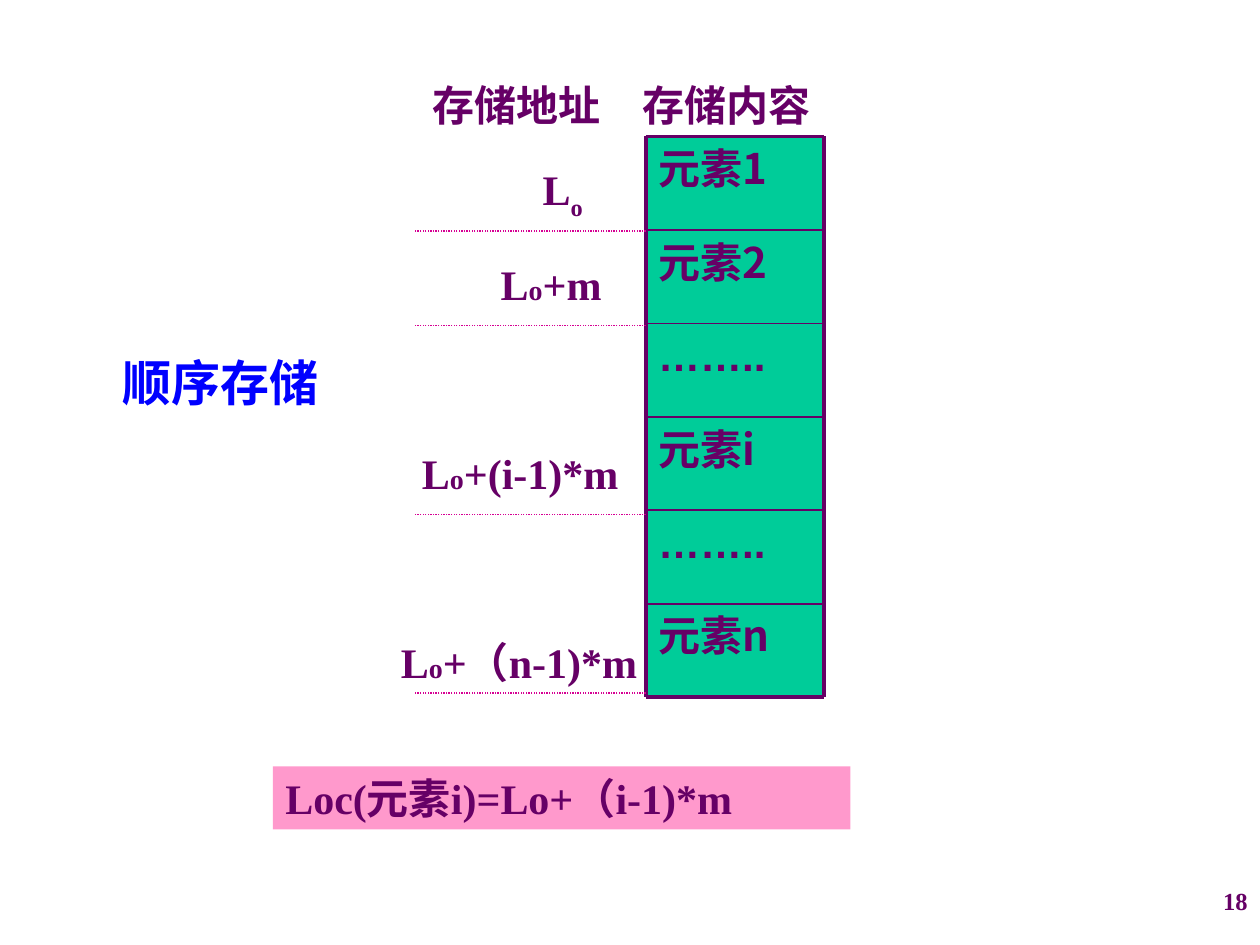
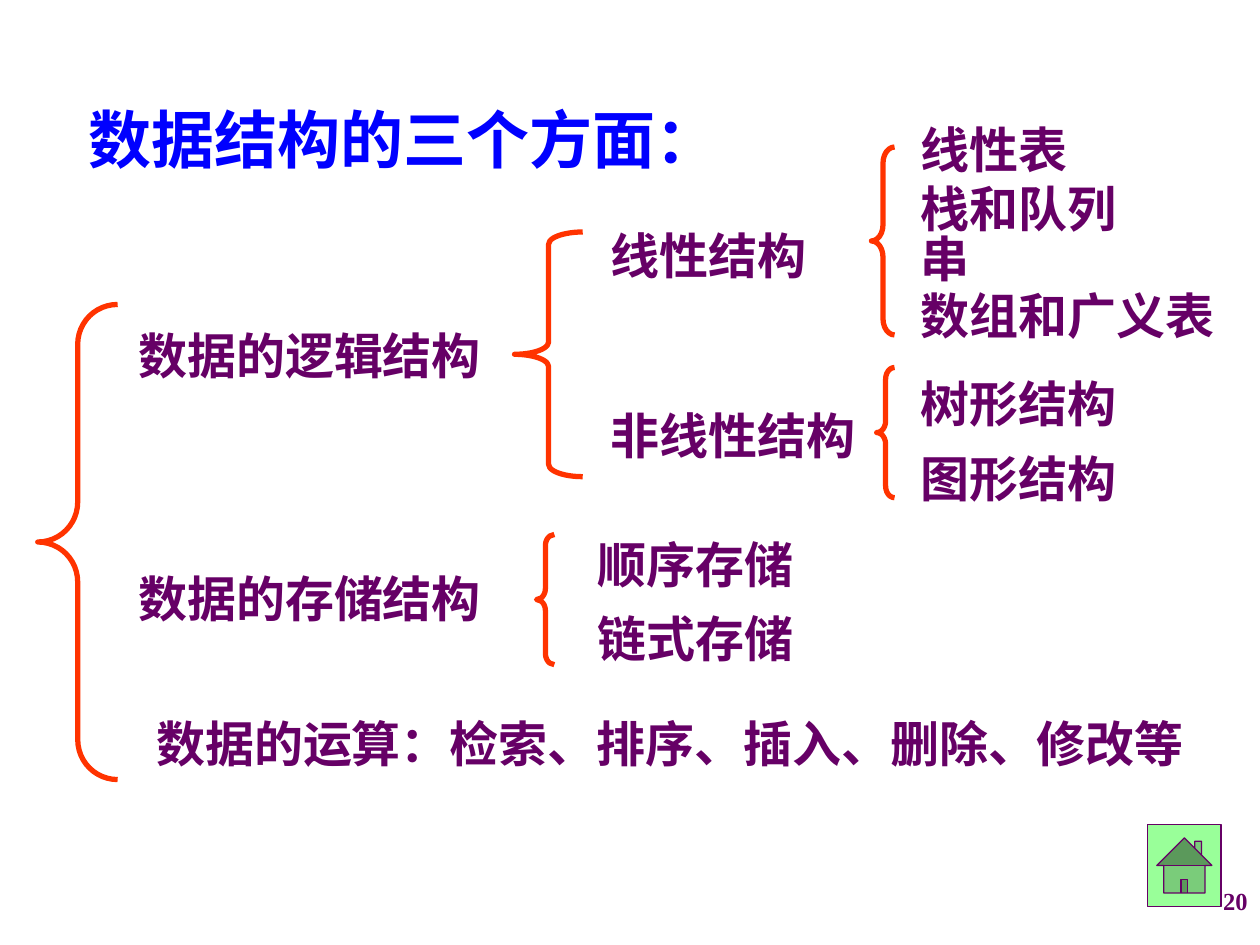
import pptx
import pptx.util
import pptx.dml.color
import pptx.enum.dml
import pptx.enum.shapes
import pptx.enum.text
import pptx.oxml
import pptx.oxml.ns

COLS, ROWS = 120, 90
WIDE, HIGH = pptx.util.Inches(10), pptx.util.Inches(7.5)
HUES = {
    "plum": "660066",
    "blue": "0000FF",
    "green": "00CC99",
    "pink": "FF99CC",
    "rose": "D60093",
    "red": "FF3300",
    "mint": "99FF99",
}
SERIF, HAN, SANS = "Times New Roman", "Noto Sans CJK SC", "Arial"
SHAPES = pptx.enum.shapes.MSO_SHAPE
ALIGN = pptx.enum.text.PP_ALIGN
DASH = pptx.enum.dml.MSO_LINE


def hue(name):
    return pptx.dml.color.RGBColor.from_string(HUES[name])


def col(count):
    return round(WIDE * count / COLS)


def row(count):
    return round(HIGH * count / ROWS)


def place(left, top, width, height):
    return col(left), row(top), col(width), row(height)


def style(run, size, color="plum", face=SERIF):
    font = run.font
    font.name, font.size, font.bold = face, pptx.util.Pt(size), True
    font.color.rgb = hue(color)
    east = pptx.oxml.parse_xml(f'<a:ea {pptx.oxml.ns.nsdecls("a")} typeface="{HAN if face == SERIF else face}"/>')
    run.font._element.find(pptx.oxml.ns.qn("a:latin")).addnext(east)


def write(shape, text, size=24, color="plum", face=SERIF, align=ALIGN.LEFT):
    frame = shape.text_frame
    frame.word_wrap = True
    frame.vertical_anchor = pptx.enum.text.MSO_ANCHOR.TOP
    line = frame.paragraphs[0]
    line.text = text
    line.alignment = align
    for run in line.runs:
        style(run, size, color, face)


def label(slide, text, left, top, width, height=6, **look):
    box = slide.shapes.add_textbox(*place(left, top, width, height))
    write(box, text, **look)
    return box


def phrase(slide, text, left, top, size=28, color="plum"):
    width = (len(text) * size / 72 + 0.3) * 12
    label(slide, text, left, top, width, size / 4, size=size, color=color)


def address(slide, tail, left, top, width, height=6):
    box = label(slide, "L", left, top, width, height)
    line = box.text_frame.paragraphs[0]
    small = line.add_run()
    small.text = "o"
    style(small, 16 if tail else 24)
    if tail:
        last = line.add_run()
        last.text = tail
        style(last, 24)
    else:
        small.font._element.set("baseline", "-25000")


def block(slide, kind, spot, fill):
    shape = slide.shapes.add_shape(kind, *place(*spot))
    shape.shadow.inherit = False
    shape.fill.solid()
    shape.fill.fore_color.rgb = hue(fill)
    shape.line.fill.background()
    return shape


def rule(slide, start, end, color="plum", weight=1, dash=None):
    line = slide.shapes.add_connector(
        pptx.enum.shapes.MSO_CONNECTOR.STRAIGHT,
        col(start[0]), row(start[1]), col(end[0]), row(end[1]))
    line.line.color.rgb = hue(color)
    line.line.width = pptx.util.Pt(weight)
    if dash:
        line.line.dash_style = dash
    line._element.spPr.append(pptx.oxml.parse_xml(f'<a:effectLst {pptx.oxml.ns.nsdecls("a")}/>'))


def brace(slide, left, top, width, height, bend):
    shape = slide.shapes.add_shape(SHAPES.LEFT_BRACE, *place(left, top, width, height))
    shape.shadow.inherit = False
    shape.fill.background()
    shape.line.color.rgb = hue("red")
    shape.line.width = pptx.util.Pt(3)
    shape.adjustments[0] = bend


def begin(deck, number):
    slide = deck.slides.add_slide(deck.slide_layouts[6])
    label(slide, number, 92, 83.75, 28, 6.25, size=14, align=ALIGN.RIGHT)
    return slide


def memory(deck):
    slide = begin(deck, "18")
    left, right, top, step = 61.5, 78.5, 13, 8.9
    cells = ["元素1", "元素2", "……..", "元素i", "……..", "元素n"]
    for index, text in enumerate(cells):
        cell = block(slide, SHAPES.RECTANGLE,
                     (left, top + index * step, right - left, step), "green")
        write(cell, text, face=HAN if text.startswith("元") else SANS)
    last = len(cells)
    for index in range(last + 1):
        level = top + index * step
        rule(slide, (left, level), (right, level),
             weight=2.25 if index in (0, last) else 1)
    for side in (left, right):
        rule(slide, (side, top), (side, top + last * step), weight=2.25)

    address(slide, "", 50.5, 15, 10, 6.75)
    address(slide, "+m", 46.5, 24, 14)
    address(slide, "+(i-1)*m", 39, 42, 25.5)
    address(slide, "+（n-1)*m", 37, 60, 25, 10.75)
    for level in (22, 31, 49, 66):
        rule(slide, (left, level), (39.5, level), "rose", 0.75, DASH.ROUND_DOT)

    label(slide, "存储地址", 40, 7, 20.5)
    label(slide, "存储内容", 60, 7, 19)
    bar = block(slide, SHAPES.RECTANGLE, (26, 73, 55, 6), "pink")
    write(bar, "Loc(元素i)=Lo+（i-1)*m")
    phrase(slide, "顺序存储", 10.5, 33, color="blue")


def aspects(deck):
    slide = begin(deck, "20")
    phrase(slide, "数据结构的三个方面：", 7.3, 9, 36, "blue")
    for spot in (
        (3.6, 29, 7.6, 45.25, 0.5),
        (51.1, 50.9, 1.7, 12.4, 0.62),
        (49, 22.1, 6.5, 23.3, 0.18),
        (83, 14, 2.2, 17.9, 0.7),
        (83.5, 35, 1.7, 12.4, 0.65),
    ):
        brace(slide, *spot)
    groups = {
        12: [("数据的逻辑结构", 30.4), ("数据的存储结构", 53.6)],
        13.7: [("数据的运算：检索、排序、插入、删除、修改等", 67.4)],
        57: [("线性结构", 20.9), ("非线性结构", 38)],
        55.7: [("顺序存储", 50.3), ("链式存储", 57.4)],
        86.5: [("线性表", 10.8), ("栈和队列", 16.4), ("串", 21.2),
               ("数组和广义表", 26.6), ("树形结构", 35), ("图形结构", 42.1)],
    }
    for left, items in groups.items():
        for text, top in items:
            phrase(slide, text, left, top)
    home = block(slide, SHAPES.ACTION_BUTTON_HOME, (109.3, 78.5, 7, 7.85), "mint")
    home.line.color.rgb = hue("plum")
    home.line.width = pptx.util.Pt(0.75)


def main():
    deck = pptx.Presentation()
    deck.slide_width, deck.slide_height = WIDE, HIGH
    memory(deck)
    aspects(deck)
    deck.save("out.pptx")


if __name__ == "__main__":
    main()
